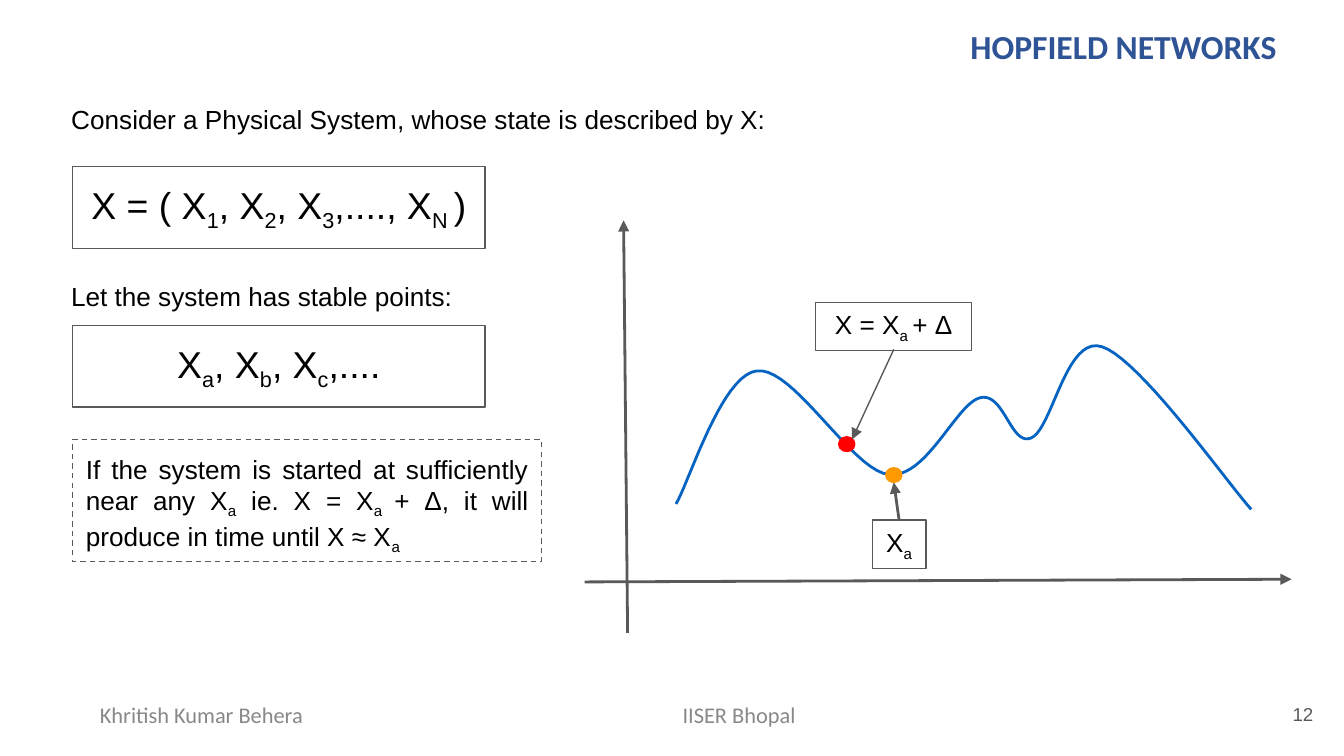
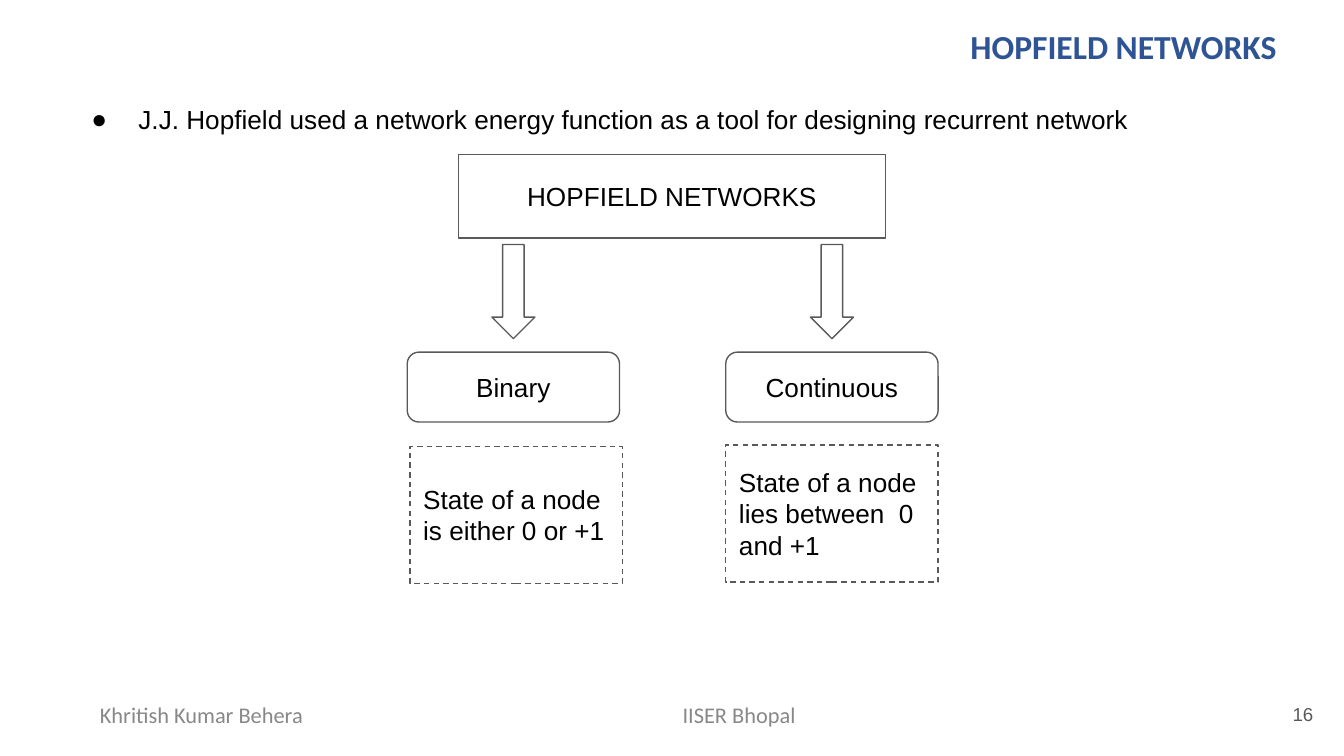
from dataclasses import dataclass

from lxml.etree import SubElement
from pptx import Presentation
from pptx.dml.color import RGBColor
from pptx.enum.dml import MSO_LINE
from pptx.enum.shapes import MSO_CONNECTOR, MSO_SHAPE
from pptx.enum.text import MSO_ANCHOR, MSO_AUTO_SIZE, PP_ALIGN
from pptx.oxml.ns import qn
from pptx.util import Inches, Pt

SLIDE_WIDTH = Inches(10)
SLIDE_HEIGHT = SLIDE_WIDTH * 9 // 16
CELL = SLIDE_WIDTH // 100


@dataclass(frozen=True)
class Theme:
    ink: str = "000000"
    outline: str = "595959"
    footer: str = "888888"
    title: str = "2F5496"
    curve: str = "0563C1"
    stable: str = "FF9900"
    started: str = "FF0000"
    body_font: str = "Arial"
    heading_font: str = "Calibri"
    equation_size: int = 20
    title_size: int = 18
    body_size: int = 14
    footer_size: int = 12
    number_size: int = 10
    thin: float = 0.75
    thick: float = 1.5


THEME = Theme()


@dataclass(frozen=True)
class Box:
    left: float
    top: float
    width: float
    height: float

    def inner(self, left, top, width, height):
        return Box(self.left + left, self.top + top, width, height)

    def point(self, column, row):
        return round((self.left + column) * CELL), round((self.top + row) * CELL)

    def frame(self):
        return (*self.point(0, 0), round(self.width * CELL), round(self.height * CELL))


TITLE_BOX = Box(64.2, 1.4, 31.8, 4)
NUMBER_BOX = Box(92.7, 51, 6, 4.3)
FOOTERS = (("IISER Bhopal", Box(40, 51.2, 30, 4)),
           ("Khritish Kumar Behera", Box(0, 51.2, 30, 4)))


def write_text(shape, text, *, size=THEME.body_size, font=THEME.body_font, color=THEME.ink,
               bold=False, align=PP_ALIGN.CENTER, anchor=MSO_ANCHOR.MIDDLE,
               padding=1, wrap=True, bullet=None):
    frame = shape.text_frame
    frame.word_wrap = wrap
    frame.auto_size = MSO_AUTO_SIZE.NONE
    frame.vertical_anchor = anchor
    frame.margin_left = frame.margin_right = CELL
    frame.margin_top = frame.margin_bottom = round(padding * CELL)
    paragraph = frame.paragraphs[0]
    paragraph.alignment = align
    paragraph.space_before = Pt(0)
    format_bullet(paragraph, bullet)
    for index, piece in enumerate(text.split("~")):
        if not piece:
            continue
        run = paragraph.add_run()
        run.text = piece
        run.font.size = Pt(size)
        run.font.name = font
        run.font.bold = bold
        run.font.color.rgb = RGBColor.from_string(color)
        if index % 2:
            run._r.get_or_add_rPr().set("baseline", "-25000")


def format_bullet(paragraph, bullet):
    properties = paragraph._p.get_or_add_pPr()
    properties.set("marL", str(5 * CELL if bullet else 0))
    properties.set("indent", str(round(-3.5 * CELL) if bullet else 0))
    if bullet:
        color = SubElement(properties, qn("a:buClr"))
        SubElement(color, qn("a:srgbClr"), val=THEME.ink)
        SubElement(properties, qn("a:buFont"), typeface=THEME.body_font)
        SubElement(properties, qn("a:buChar"), char=bullet)
    else:
        SubElement(properties, qn("a:buNone"))


def place(shape, box):
    shape.left, shape.top, shape.width, shape.height = box.frame()


def add_text(slide, box, text, **text_format):
    write_text(slide.shapes.add_textbox(*box.frame()), text, **text_format)


def style_line(line, color, width):
    line.color.rgb = RGBColor.from_string(color)
    line.width = Pt(width)


def add_block(slide, box, text="", kind=MSO_SHAPE.RECTANGLE, dashed=False, fill=None,
              **text_format):
    shape = slide.shapes.add_shape(kind, *box.frame())
    shape.shadow.inherit = False
    if fill:
        shape.fill.solid()
        shape.fill.fore_color.rgb = RGBColor.from_string(fill)
    else:
        shape.fill.background()
    style_line(shape.line, fill or THEME.outline, THEME.thin)
    if dashed:
        shape.line.dash_style = MSO_LINE.DASH
    if text:
        write_text(shape, text, **text_format)


def add_arrow(slide, start, end, width=THEME.thick):
    connector = slide.shapes.add_connector(MSO_CONNECTOR.STRAIGHT, *start, *end)
    style_line(connector.line, THEME.outline, width)
    SubElement(connector.get_or_add_ln(), qn("a:tailEnd"), type="triangle")
    SubElement(connector.element.spPr, qn("a:effectLst"))


def bezier_points(start, curves, steps=20):
    points = [start]
    for first, second, end in curves:
        corners = (points[-1], first, second, end)
        for step in range(1, steps + 1):
            t = step / steps
            weights = ((1 - t) ** 3, 3 * t * (1 - t) ** 2, 3 * t * t * (1 - t), t ** 3)
            points.append(tuple(sum(weight * corner[axis]
                                    for weight, corner in zip(weights, corners))
                                for axis in (0, 1)))
    return points


def add_curve(slide, box, start, curves):
    points = [box.point(*point) for point in bezier_points(start, curves)]
    builder = slide.shapes.build_freeform(*points[0])
    builder.add_line_segments(points[1:], close=False)
    shape = builder.convert_to_shape()
    shape.shadow.inherit = False
    shape.fill.background()
    style_line(shape.line, THEME.curve, THEME.thick)


def start_slide(presentation, number, lead, lead_box, bullet=None):
    slide = presentation.slides.add_slide(presentation.slide_layouts.get_by_name("Title and Content"))
    title, body = slide.placeholders
    place(title, TITLE_BOX)
    write_text(title, "HOPFIELD NETWORKS", size=THEME.title_size, font=THEME.heading_font,
               color=THEME.title, bold=True, align=PP_ALIGN.RIGHT, anchor=MSO_ANCHOR.TOP,
               padding=0.5)
    place(body, lead_box)
    write_text(body, lead, align=PP_ALIGN.JUSTIFY, anchor=MSO_ANCHOR.TOP, bullet=bullet)
    add_text(slide, NUMBER_BOX, str(number), size=THEME.number_size, color=THEME.outline,
             align=PP_ALIGN.RIGHT)
    for text, box in FOOTERS:
        add_text(slide, box, text, size=THEME.footer_size, font=THEME.heading_font,
                 color=THEME.footer, padding=0.5)
    return slide


def draw_state_panel(slide, box):
    equations = ("X = ( X~1~, X~2~, X~3~,...., X~N ~)", "X~a~, X~b~, X~c~,....")
    for index, equation in enumerate(equations):
        add_block(slide, box.inner(1.1, 11.8 * index, 30.7, 6.1), equation,
                  size=THEME.equation_size)
    justified = {"align": PP_ALIGN.JUSTIFY, "anchor": MSO_ANCHOR.TOP}
    add_text(slide, box.inner(0, 7.5, 34.9, 4.4), "Let the system has stable points:", **justified)
    add_block(slide, box.inner(1.1, 20.3, 34.9, 9.1),
              "If the system is started at sufficiently near any X~a~ ie. X = X~a ~+ Δ, "
              "it will produce in time until X ≈ X~a~", dashed=True, **justified)


def draw_energy_landscape(slide, box):
    add_arrow(slide, box.point(3.2, box.height), box.point(2.9, 0))
    add_arrow(slide, box.point(0, 26.9), box.point(box.width, 26.7))
    add_curve(slide, box, (6.8, 21.1), (
        ((7.8, 19.4), (10.2, 11.5), (12.8, 11.2)),
        ((15.5, 10.8), (19.9, 18.6), (22.6, 18.9)),
        ((25.4, 19.3), (27.6, 13.7), (29.4, 13.2)),
        ((31.2, 12.7), (31.7, 16.8), (33.2, 16.2)),
        ((34.8, 15.6), (35.8, 8.5), (38.5, 9.4)),
        ((41.3, 10.3), (47.8, 19.5), (49.6, 21.5)),
    ))
    for left, top, color in ((22.4, 18.4, THEME.stable), (18.9, 16.1, THEME.started)):
        add_block(slide, box.inner(left, top, 1.2, 1.1), kind=MSO_SHAPE.OVAL, fill=color)
    add_block(slide, box.inner(21.4, 22.3, 4, 3.6), "X~a~", wrap=False)
    add_arrow(slide, box.point(23.4, 22.3), box.point(23, 19.5))
    add_block(slide, box.inner(17.2, 6.1, 11.6, 3.6), "X = X~a ~+ Δ", wrap=False)
    add_arrow(slide, box.point(23, 9.6), box.point(19.9, 16.3), THEME.thin)


def draw_network_tree(slide, box):
    add_block(slide, box.inner(3.8, 0, 31.8, 6.2), "HOPFIELD NETWORKS")
    branch_width = 15.8
    pitch = box.width - branch_width
    branches = (("Binary", "State of a node is either 0 or +1", 0.2, 0.1),
                ("Continuous", "State of a node lies between  0 and +1", 0, 0))
    for index, (name, note, shift, drop) in enumerate(branches):
        branch = box.inner(pitch * index, 6.7, branch_width, box.height - 6.7)
        add_block(slide, branch.inner((branch_width - 3.2) / 2, 0, 3.2, 7),
                  kind=MSO_SHAPE.DOWN_ARROW)
        add_block(slide, branch.inner(0, 8, branch_width, 5.2), name,
                  kind=MSO_SHAPE.ROUNDED_RECTANGLE)
        add_block(slide, branch.inner(shift, 14.9 + drop, branch_width, 10.2), note,
                  dashed=True, align=PP_ALIGN.LEFT)


def main():
    presentation = Presentation()
    presentation.slide_width = SLIDE_WIDTH
    presentation.slide_height = SLIDE_HEIGHT
    landscape_slide = start_slide(
        presentation, 12, "Consider a Physical System, whose state is described by X:",
        Box(4.3, 6.7, 53.8, 4.4))
    draw_state_panel(landscape_slide, Box(4.3, 12.4, 36, 29.4))
    draw_energy_landscape(landscape_slide, Box(43.5, 16.4, 52.6, 30.7))
    types_slide = start_slide(
        presentation, 16,
        "J.J. Hopfield used a network energy function as a tool for designing recurrent network",
        Box(4.3, 6.7, 91.4, 4.4), bullet="●")
    draw_network_tree(types_slide, Box(30.3, 11.5, 39.5, 31.9))
    presentation.save("out.pptx")


if __name__ == "__main__":
    main()
